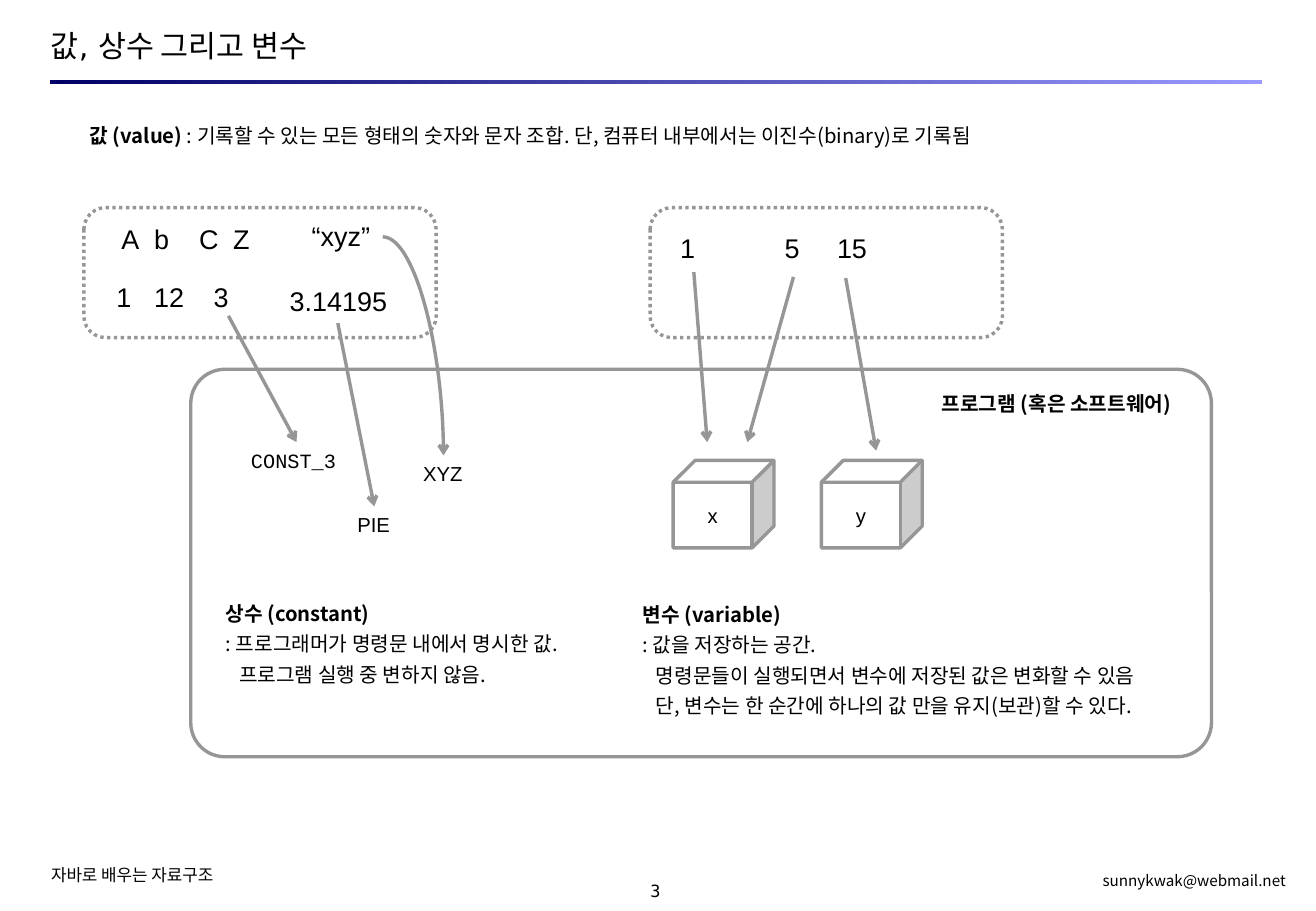
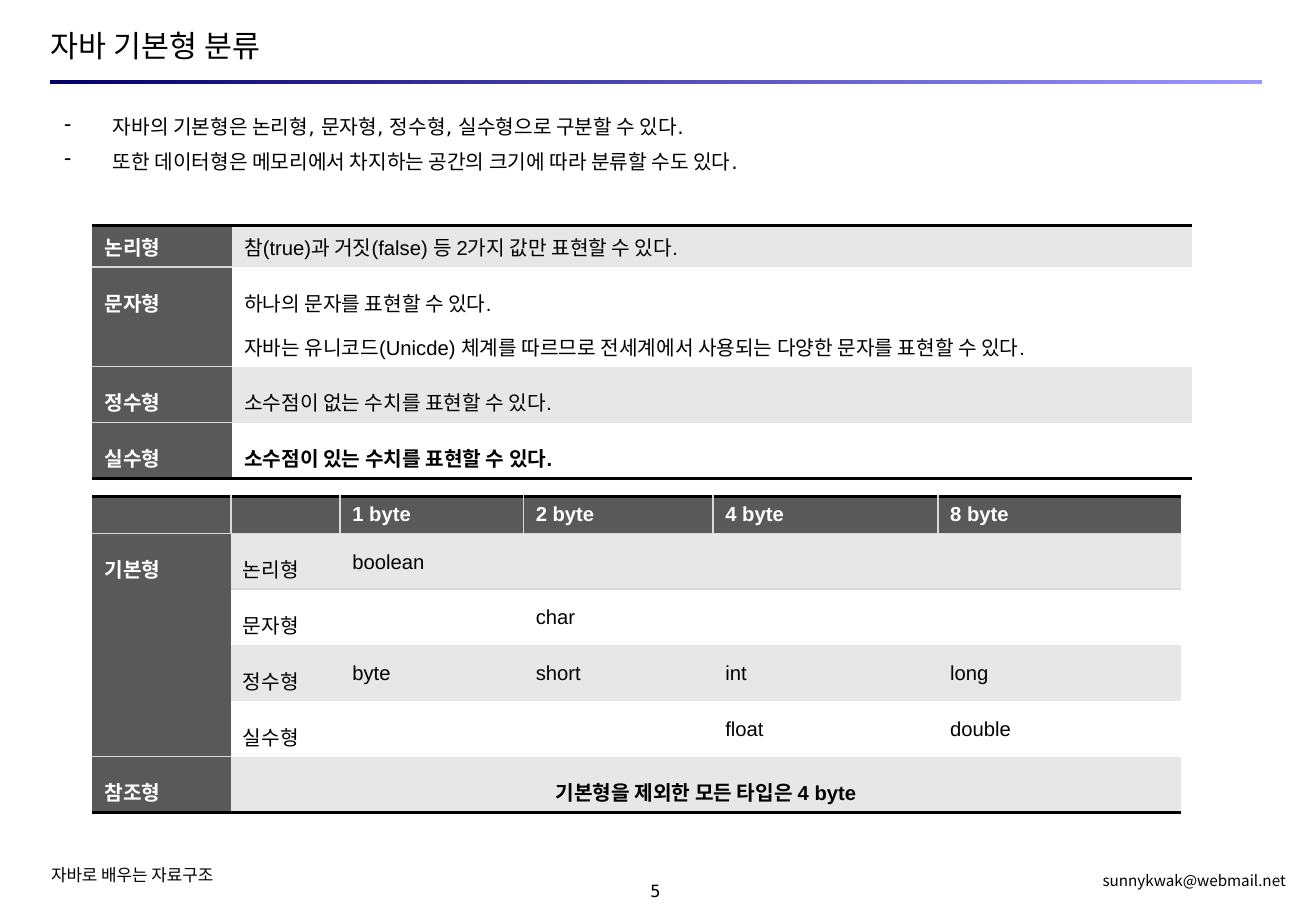
"""Build two slides on values, constants, variables and Java basic types."""
from lxml.etree import SubElement
from pptx import Presentation
from pptx.dml.color import RGBColor
from pptx.enum.dml import MSO_LINE_DASH_STYLE as Dash
from pptx.enum.shapes import MSO_CONNECTOR as Connector, MSO_SHAPE as Shape
from pptx.enum.text import MSO_ANCHOR as Anchor, PP_ALIGN as Align
from pptx.oxml.ns import qn
from pptx.util import Inches, Pt

COLORS = {"ink": "000000", "paper": "FFFFFF", "line": "969696", "dark": "595959",
          "band": "E7E7E7", "grid": "D9D9D9", "navy": "000066", "lilac": "9999FF"}
KOREAN = "Noto Sans CJK KR"
PLAIN_TABLE = "{2D5ABB26-0587-4C30-8999-92F81FD0307C}"


def rgb(name):
    return RGBColor.from_string(COLORS[name])


def write(frame, text, font=KOREAN, size=12, color="ink", bold=False, align=Align.LEFT,
          spacing=1.0, before=0, lead="", margins=(), hanging=0, bullet="", tabs=()):
    for index, line in enumerate(text.split("\n")):
        paragraph = frame.paragraphs[0] if index == 0 else frame.add_paragraph()
        paragraph.alignment = align
        paragraph.line_spacing = spacing
        paragraph.space_before = Pt(before)
        properties = paragraph._p.get_or_add_pPr()
        if index < len(margins):
            properties.set("marL", str(Inches(margins[index])))
            properties.set("indent", str(-Inches(hanging)))
        if bullet:
            SubElement(properties, qn("a:buChar")).set("char", bullet)
        if tabs:
            stops = SubElement(properties, qn("a:tabLst"))
            for position in tabs:
                stop = SubElement(stops, qn("a:tab"))
                stop.set("pos", str(Inches(position)))
                stop.set("algn", "l")
        parts = [(lead if index == 0 else "", True), (line, bold)]
        for words, weight in parts:
            if words:
                run = paragraph.add_run()
                run.text = words
                run.font.name, run.font.size, run.font.bold = font, Pt(size), weight
                run.font.color.rgb = rgb(color)
                SubElement(run._r.get_or_add_rPr(), qn("a:ea")).set("typeface", KOREAN)
        if not paragraph.runs:
            paragraph._p.get_or_add_endParaRPr().set("sz", str(size * 100))


class Deck:
    def __init__(self):
        self.presentation = Presentation()
        self.presentation.slide_width = Inches(10.83)
        self.presentation.slide_height = Inches(7.5)
        self.slide = None

    def new_slide(self, title, number):
        self.slide = self.presentation.slides.add_slide(self.presentation.slide_layouts[6])
        rule = self.shape(Shape.RECTANGLE, 0.41, 0.66, 9.98, 0.03)
        rule.line.fill.background()
        rule.fill.gradient()
        rule.fill.gradient_angle = 0
        for stop, color in zip(rule.fill.gradient_stops, ("navy", "lilac")):
            stop.color.rgb = rgb(color)
        self.text(title, 0.42, 0.22, 9.97, 0.3, inset=(0, 0), anchor=Anchor.MIDDLE,
                  font="DejaVu Sans", size=18)
        self.text("자바로 배우는 자료구조", 0.4, 7.11, 3.09, 0.19, inset=(0.02, 0.01), size=10)
        self.text("sunnykwak@webmail.net", 7.23, 7.16, 3.37, 0.18, inset=(0.02, 0.01),
                  size=9, align=Align.RIGHT)
        self.text(number, 5.06, 7.25, 0.67, 0.17, inset=(0, 0), anchor=Anchor.MIDDLE,
                  font="DejaVu Sans Mono", size=10, align=Align.CENTER)

    def text(self, words, left, top, width, height, inset=(0.1, 0.05),
             anchor=Anchor.TOP, wrap=True, **style):
        box = self.slide.shapes.add_textbox(*map(Inches, (left, top, width, height)))
        frame = box.text_frame
        frame.word_wrap = wrap
        frame.vertical_anchor = anchor
        frame.margin_left = frame.margin_right = Inches(inset[0])
        frame.margin_top = frame.margin_bottom = Inches(inset[1])
        write(frame, words, **style)

    def label(self, words, left, top, width, height=0.3, font="Arial", **style):
        self.text(words, left, top, width, height, wrap=False, font=font,
                  align=Align.CENTER, **style)

    def shape(self, kind, left, top, width, height, fill=None, dash=None, corner=None):
        shape = self.slide.shapes.add_shape(kind, *map(Inches, (left, top, width, height)))
        shape.shadow.inherit = False
        shape.line.color.rgb = rgb("line")
        shape.line.width = Pt(2)
        if dash:
            shape.line.dash_style = dash
        if corner:
            shape.adjustments[0] = corner
        if fill:
            shape.fill.solid()
            shape.fill.fore_color.rgb = rgb(fill)
        else:
            shape.fill.background()
        return shape

    def cube(self, name, left):
        cube = self.shape(Shape.CUBE, left, 3.79, 0.83, 0.72, fill="paper")
        cube.text_frame.word_wrap = False
        cube.text_frame.vertical_anchor = Anchor.MIDDLE
        write(cube.text_frame, name, font="Arial", align=Align.CENTER)

    def arrow(self, start, end, curved=False):
        kind = Connector.CURVE if curved else Connector.STRAIGHT
        arrow = self.slide.shapes.add_connector(kind, *map(Inches, start + end))
        arrow.line.color.rgb = rgb("line")
        arrow.line.width = Pt(2)
        SubElement(arrow.line._get_or_add_ln(), qn("a:tailEnd")).set("type", "arrow")
        properties = arrow._element.spPr
        SubElement(properties, qn("a:effectLst"))
        if curved:
            properties.find(qn("a:prstGeom")).set("prst", "curvedConnector2")

    def border(self, cell, side, color, width):
        line = SubElement(cell._tc.get_or_add_tcPr(), qn("a:ln" + side))
        line.set("w", str(Pt(width)))
        fill = SubElement(line, qn("a:solidFill"))
        SubElement(fill, qn("a:srgbClr")).set("val", COLORS[color])

    def table(self, rows, left, top, widths, heights, header=False, merges=()):
        last_row, last_column = len(rows) - 1, len(widths) - 1
        frame = self.slide.shapes.add_table(
            len(rows), len(widths),
            *map(Inches, (left, top, sum(widths), sum(heights))))
        table = frame.table
        table.first_row = table.horz_banding = False
        table._tbl.tblPr.find(qn("a:tableStyleId")).text = PLAIN_TABLE
        for column, width in zip(table.columns, widths):
            column.width = Inches(width)
        for row, height in zip(table.rows, heights):
            row.height = Inches(height)
        for first, last in merges:
            table.cell(*first).merge(table.cell(*last))
        for r, values in enumerate(rows):
            for c, value in enumerate(values):
                cell = table.cell(r, c)
                heading = header and r == 0
                dark = c == 0 or heading
                if heading and c > 0:
                    self.border(cell, "L", "grid", 1)
                if heading and c < last_column:
                    self.border(cell, "R", "grid", 1)
                if r == 0:
                    self.border(cell, "T", "ink", 2)
                elif c == 0 or (header and r == 1):
                    self.border(cell, "T", "grid", 1)
                if r == last_row:
                    self.border(cell, "B", "ink", 2)
                elif dark:
                    self.border(cell, "B", "grid", 1)
                banded = (r - header) % 2 == 0
                cell.fill.solid()
                cell.fill.fore_color.rgb = rgb(
                    "dark" if dark else "band" if banded else "paper")
                spread = cell.is_merge_origin and cell.span_width > 1
                write(cell.text_frame, value, font="Arial",
                      color="paper" if dark else "ink",
                      bold=dark or r == last_row,
                      align=Align.CENTER if spread else Align.LEFT,
                      spacing=1.5 if r else 1.0)


def build_values_slide(deck):
    deck.new_slide("값, 상수 그리고 변수", "3")
    deck.text(" : 기록할 수 있는 모든 형태의 숫자와 문자 조합. 단, 컴퓨터 내부에서는 "
              "이진수(binary)로 기록됨", 0.64, 0.92, 8.57, 0.4,
              lead="값 (value)", spacing=1.25)
    for left in (0.69, 5.35):
        deck.shape(Shape.ROUNDED_RECTANGLE, left, 1.71, 2.9, 1.07, dash=Dash.ROUND_DOT)
    deck.shape(Shape.ROUNDED_RECTANGLE, 1.57, 3.04, 8.4, 3.19, corner=0.088)

    for words, left, top, tabs in (
            ("A\tb\tC\tZ", 0.9, 1.78, (0.27, 0.64, 0.92)),
            ("1\t12\t3", 0.86, 2.26, (0.31, 0.8)),
            ("1\t5\t15", 5.5, 1.86, (0.86, 1.29))):
        deck.text(words, left, top, 2, 0.37, font="Arial", size=16, tabs=tabs)
    deck.label("“xyz”", 2.46, 1.76, 0.69, 0.37, size=16)
    deck.label("3.14195", 2.28, 2.29, 1.01, 0.37, size=16)
    deck.label("프로그램 (혹은 소프트웨어)", 7.56, 3.17, 2.27, font=KOREAN, bold=True)
    deck.label("CONST_3", 1.94, 3.64, 0.95, font="Courier New")
    deck.label("XYZ", 3.38, 3.75, 0.53)
    deck.label("PIE", 2.84, 4.17, 0.47)

    for lead, words, left, top, width, height in (
            ("상수 (constant)",
             "\n: 프로그래머가 명령문 내에서 명시한 값.\n프로그램 실행 중 변하지 않음.",
             1.76, 4.85, 3.4, 1.01),
            ("변수 (variable)",
             "\n: 값을 저장하는 공간.\n명령문들이 실행되면서 변수에 저장된 값은 변화할 수 있음\n"
             "단, 변수는 한 순간에 하나의 값 만을 유지(보관)할 수 있다.",
             5.19, 4.86, 4.78, 1.31)):
        deck.text(words, left, top, width, height, lead=lead, spacing=1.25,
                  margins=(0, 0, 0.11, 0.11))

    deck.cube("x", 5.54)
    deck.cube("y", 6.76)
    for start, end in (((1.88, 2.6), (2.44, 3.64)), ((2.78, 2.66), (3.08, 4.17)),
                       ((5.71, 2.24), (5.82, 3.64)), ((6.53, 2.28), (6.15, 3.64)),
                       ((6.96, 2.29), (7.21, 3.71))):
        deck.arrow(start, end)
    deck.arrow((3.15, 1.95), (3.65, 3.75), curved=True)


def build_types_slide(deck):
    deck.new_slide("자바 기본형 분류", "5")
    deck.text("자바의 기본형은 논리형, 문자형, 정수형, 실수형으로 구분할 수 있다.\n"
              "또한 데이터형은 메모리에서 차지하는 공간의 크기에 따라 분류할 수도 있다.",
              0.42, 0.89, 9.97, 0.65, inset=(0, 0), font="DejaVu Sans", spacing=1.25,
              before=2.5, bullet="-", margins=(0.51, 0.51), hanging=0.4)
    deck.table([
        ["논리형", "참(true)과 거짓(false) 등 2가지 값만 표현할 수 있다."],
        ["문자형", "하나의 문자를 표현할 수 있다.\n자바는 유니코드(Unicde) 체계를 따르므로 "
                "전세계에서 사용되는 다양한 문자를 표현할 수 있다."],
        ["정수형", "소수점이 없는 수치를 표현할 수 있다."],
        ["실수형", "소수점이 있는 수치를 표현할 수 있다."],
    ], 0.76, 1.86, [1.15, 7.9], [0.34, 0.82, 0.46, 0.46])
    deck.table([
        ["", "", "1 byte", "2 byte", "4 byte", "8 byte"],
        ["기본형", "논리형", "boolean", "", "", ""],
        ["", "문자형", "", "char", "", ""],
        ["", "정수형", "byte", "short", "int", "long"],
        ["", "실수형", "", "", "float", "double"],
        ["참조형", "기본형을 제외한 모든 타입은 4 byte", "", "", "", ""],
    ], 0.76, 4.09, [1.14, 0.9, 1.51, 1.56, 1.85, 2], [0.29] + [0.46] * 5,
        header=True, merges=[((1, 0), (4, 0)), ((5, 1), (5, 5))])


def main():
    deck = Deck()
    build_values_slide(deck)
    build_types_slide(deck)
    deck.presentation.save("out.pptx")


if __name__ == "__main__":
    main()
